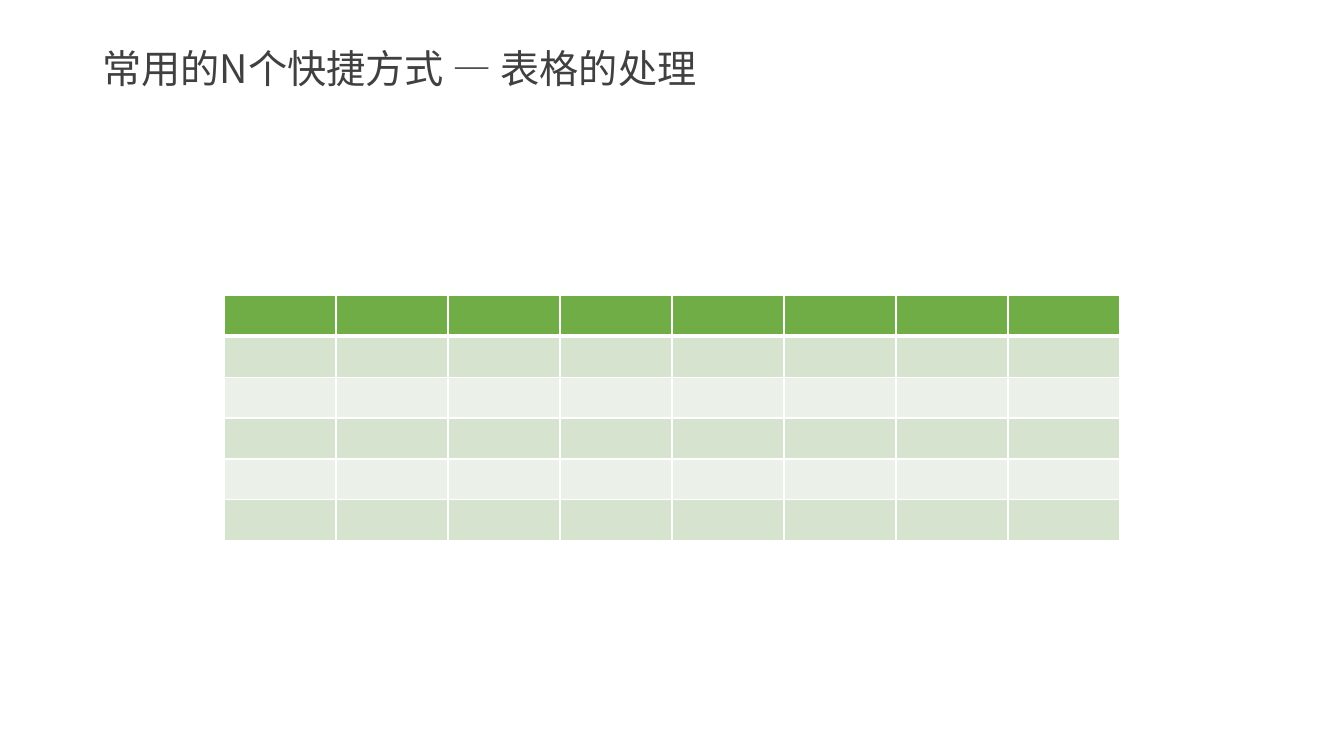
from lxml import etree
from pptx import Presentation
from pptx.dml.color import RGBColor
from pptx.enum import text
from pptx.oxml import ns
from pptx.util import Pt

TITLE = "常用的N个快捷方式 — 表格的处理"
ROWS, COLUMNS = 6, 8

THEME = {
    "font": "Noto Sans CJK SC",
    "title_size": 28,
    "title": "404040",
    "header": "70AD47",
    "bands": ("D5E3CF", "EBF1E9"),
    "border": "FFFFFF",
}

SLIDE = (960, 540)
TITLE_BOX = (66, 28.8, 828, 43.2)
TABLE_LEFT, TABLE_TOP = 160, 211
COLUMN_WIDTH, ROW_HEIGHT = 80, 29.2
THIN, THICK = 1, 3


def write(box, content, *, size, color, font, spacing=1):
    frame = box.text_frame
    frame.word_wrap = True
    frame.auto_size = text.MSO_AUTO_SIZE.NONE
    frame.vertical_anchor = text.MSO_ANCHOR.MIDDLE
    para = frame.paragraphs[0]
    para.alignment = text.PP_ALIGN.LEFT
    para.line_spacing = spacing
    span = para.add_run()
    span.text = content
    span.font.size = Pt(size)
    span.font.name = font
    span.font.color.rgb = RGBColor.from_string(color)
    east_asian = etree.SubElement(span.font._element, ns.qn("a:ea"))
    east_asian.set("typeface", font)


def set_borders(cell, **widths):
    """Draw the L, R, T and B edges, in that order, at the given point widths."""
    properties = cell._tc.get_or_add_tcPr()
    for edge, width in widths.items():
        line = etree.SubElement(properties, ns.qn(f"a:ln{edge}"), w=str(Pt(width)))
        fill = etree.SubElement(line, ns.qn("a:solidFill"))
        etree.SubElement(fill, ns.qn("a:srgbClr"), val=THEME["border"])


def add_banded_table(page):
    frame = page.shapes.add_table(
        ROWS, COLUMNS, Pt(TABLE_LEFT), Pt(TABLE_TOP),
        Pt(COLUMNS * COLUMN_WIDTH), Pt(ROWS * ROW_HEIGHT))
    table = frame.table
    for column in table.columns:
        column.width = Pt(COLUMN_WIDTH)
    for index, row in enumerate(table.rows):
        row.height = Pt(ROW_HEIGHT)
        color = THEME["bands"][(index - 1) % 2] if index else THEME["header"]
        for cell in row.cells:
            cell.margin_top = cell.margin_bottom = Pt(0)
            set_borders(cell, L=THIN, R=THIN,
                        T=THICK if index == 1 else THIN,
                        B=THICK if index == 0 else THIN)
            cell.fill.solid()
            cell.fill.fore_color.rgb = RGBColor.from_string(color)


def main():
    deck = Presentation()
    deck.slide_width, deck.slide_height = map(Pt, SLIDE)
    page = deck.slides.add_slide(deck.slide_layouts[5])
    title = page.shapes.title
    title.left, title.top, title.width, title.height = map(Pt, TITLE_BOX)
    write(title, TITLE, size=THEME["title_size"], color=THEME["title"],
          font=THEME["font"], spacing=0.9)
    add_banded_table(page)
    deck.save("out.pptx")


if __name__ == "__main__":
    main()
